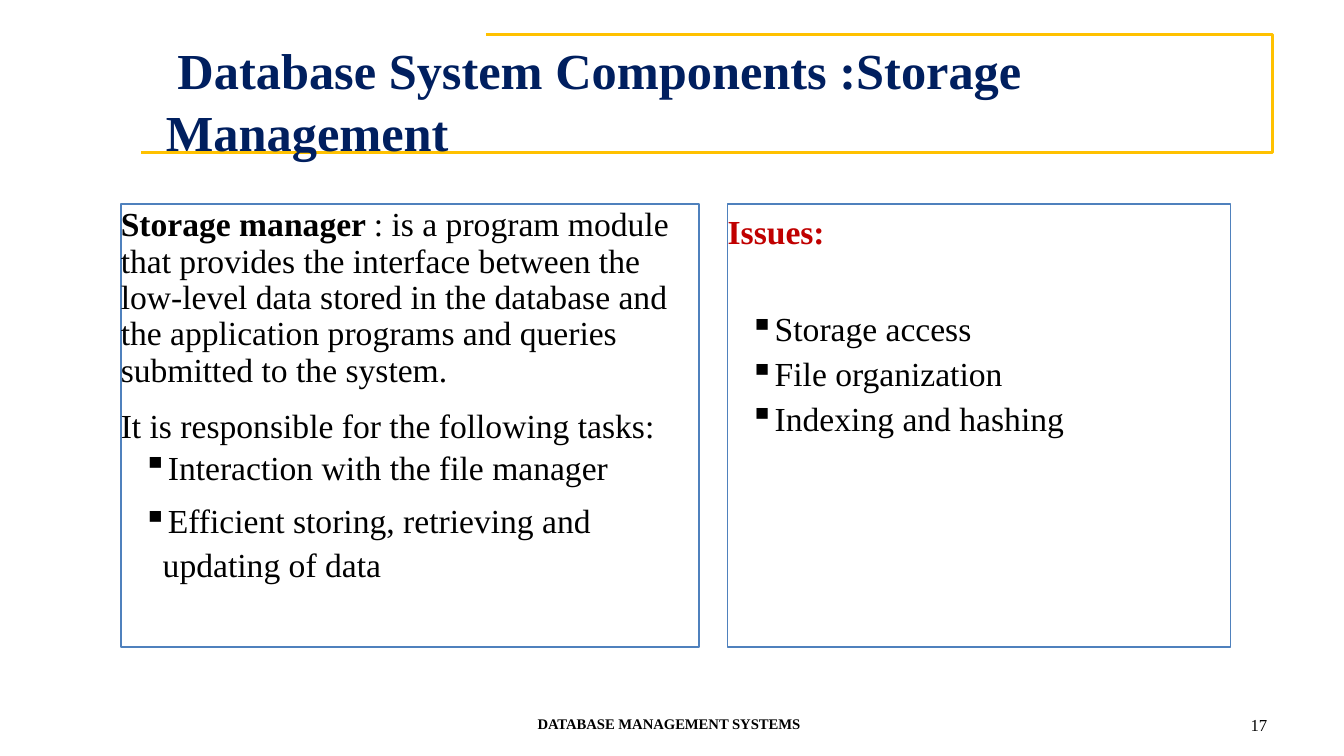
from lxml import etree
from pptx import Presentation, util as u
from pptx.dml.color import RGBColor
from pptx.enum import shapes, text
from pptx.oxml import ns

SCALE = 9525
NAVY = RGBColor(0x00, 0x1F, 0x5F)
GOLD = RGBColor(0xFF, 0xC1, 0x00)
BLUE = RGBColor(0x4F, 0x81, 0xBD)
RED = RGBColor(0xC0, 0x00, 0x00)
BLACK = RGBColor(0x00, 0x00, 0x00)
WHITE = RGBColor(0xFF, 0xFF, 0xFF)


def px(*nums):
    return [u.Emu(num * SCALE) for num in nums]


def apply(item, values):
    for name, value in values.items():
        setattr(item, name, value)


def indent(para, left, first):
    props = para._p.get_or_add_pPr()
    for name, value in {"marL": left, "indent": first}.items():
        props.set(name, str(value * SCALE))
    return props


def bullet(para):
    props = indent(para, 40, -19)
    color = etree.SubElement(props, ns.qn("a:buClr"))
    etree.SubElement(color, ns.qn("a:srgbClr"), val=str(BLACK))
    etree.SubElement(props, ns.qn("a:buChar"), char="▪")


def line(runs, size=24, color=BLACK, left=0, first=0, mark=False, **gaps):
    return dict(runs=runs, size=size, color=color, left=left,
                first=first, mark=mark, gaps=gaps)


def item(words, **gaps):
    return line([(words, False)], mark=True, **gaps)


def write(shape, lines, top=0):
    frame = shape.text_frame
    apply(frame, {"word_wrap": True, "margin_left": 0, "margin_right": 0,
                  "margin_top": px(top)[0], "margin_bottom": 0,
                  "vertical_anchor": text.MSO_ANCHOR.TOP})
    for index, entry in enumerate(lines):
        para = frame.add_paragraph() if index else frame.paragraphs[0]
        if entry["mark"]:
            bullet(para)
        else:
            indent(para, entry["left"], entry["first"])
        apply(para, {"alignment": text.PP_ALIGN.LEFT, **entry["gaps"]})
        for words, bold in entry["runs"]:
            run = para.add_run()
            run.text = words
            apply(run.font, {"name": "Times New Roman", "bold": bold,
                             "size": u.Pt(entry["size"])})
            run.font.color.rgb = entry["color"]


def label(slide, place, entry, top=0):
    write(slide.shapes.add_textbox(*px(*place)), [entry], top)


def stroke(shape, color, width):
    shape.shadow.inherit = False
    shape.line.color.rgb = color
    shape.line.width = u.Pt(width)


def panel(slide, left, width, lines, top=0):
    box = slide.shapes.add_shape(shapes.MSO_SHAPE.RECTANGLE,
                                 *px(left, 194, width, 422))
    box.fill.solid()
    box.fill.fore_color.rgb = WHITE
    stroke(box, BLUE, 1.25)
    write(box, lines, top)


def border(slide):
    pen = slide.shapes.build_freeform(463, 33, scale=SCALE)
    pen.add_line_segments([(1212, 33), (1212, 145), (134, 145)], close=False)
    shape = pen.convert_to_shape()
    shape.fill.background()
    stroke(shape, GOLD, 2)


def main():
    deck = Presentation()
    deck.slide_width, deck.slide_height = px(1280, 720)
    slide = deck.slides.add_slide(deck.slide_layouts[6])
    border(slide)
    label(slide, (68, 25, 1149, 129),
          line([("Database System Components :Storage Management", True)],
               size=36, color=NAVY, left=90, first=11, line_spacing=1.02),
          top=11)
    panel(slide, 115, 551, [
        line([("Storage manager ", True),
              (": is a program module that provides the interface between "
               "the low-level data stored in the database and the application "
               "programs and queries submitted to the system.", False)],
             line_spacing=0.9),
        line([("It is responsible for the following tasks:", False)],
             space_before=u.Pt(11.2)),
        item("Interaction with the file manager", space_before=u.Pt(1.1)),
        item("Efficient storing, retrieving and updating of data",
             line_spacing=1.08, space_before=u.Pt(7)),
    ], top=4)
    issues = {"Storage access": 41, "File organization": 3.1,
              "Indexing and hashing": 3.1}
    panel(slide, 693, 479, [
        line([("Issues:", True)], color=RED, line_spacing=1.17),
        *[item(words, space_before=u.Pt(gap))
          for words, gap in issues.items()],
    ])
    label(slide, (511, 678, 257, 19),
          line([("DATABASE MANAGEMENT SYSTEMS", True)], size=10.5,
               left=1, line_spacing=1.19))
    label(slide, (1187, 677, 26, 20),
          line([("17", False)], size=12, left=4, line_spacing=1.17))
    deck.save("out.pptx")


if __name__ == "__main__":
    main()
